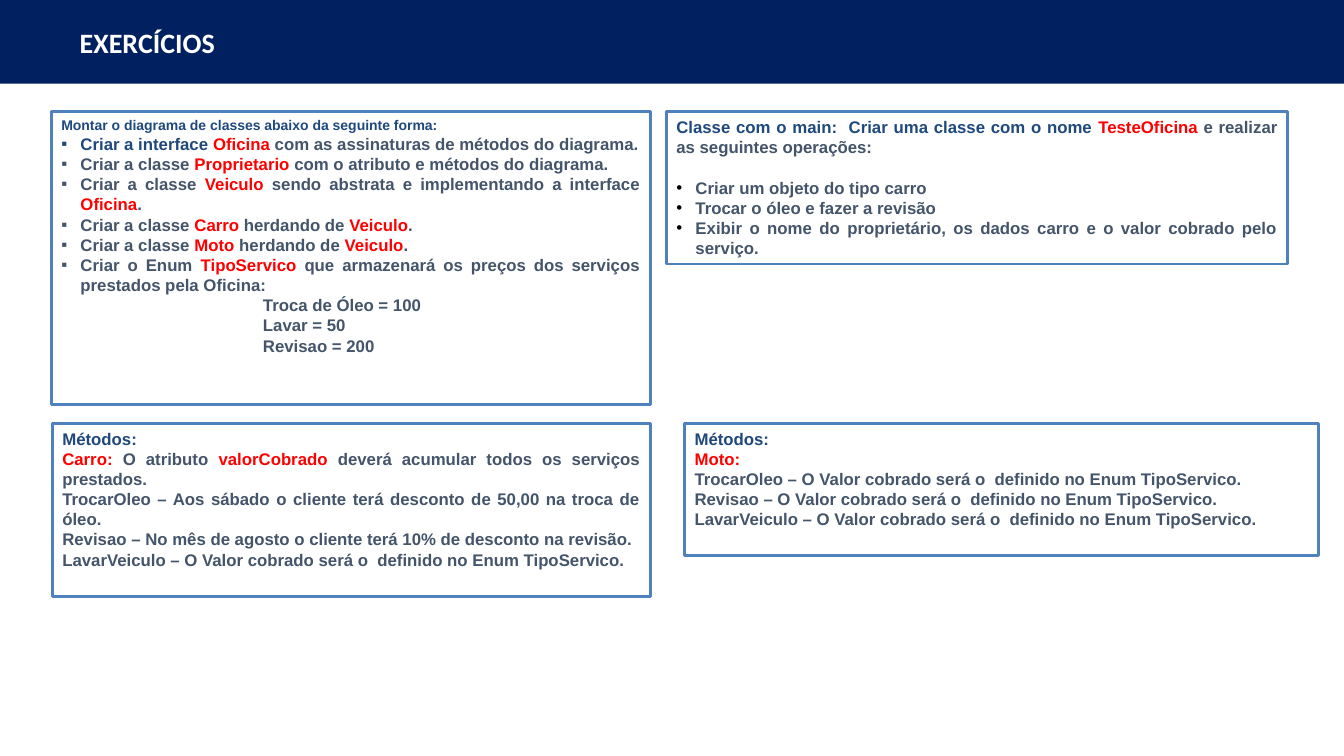
from lxml import etree
from pptx import Presentation
from pptx.dml.color import RGBColor
from pptx.enum.shapes import MSO_SHAPE as SHAPE
from pptx.enum.text import MSO_ANCHOR as ANCHOR, PP_ALIGN as ALIGN
from pptx.oxml.ns import qn
from pptx.util import Inches, Pt

NAVY, BLUE, GRAY, RED = "002060", "1F497D", "44546A", "FF0000"
EDGE, WHITE, BLACK = "4F81BD", "FFFFFF", "000000"

# Content: each line is (runs, format); a run is (text, colour)
TITLE = "EXERCÍCIOS"
METHODS = ([("Métodos:", BLUE)], {})
FIXED = "O Valor cobrado será o  definido no Enum TipoServico."


def square(*runs):
    return list(runs), {"mark": "▪", "tint": runs[0][1]}


def dot(words):
    return [(words, GRAY)], {"mark": "•", "tint": BLACK}


def plain(words, **form):
    return [(words, GRAY)], form


STEPS = [
    ([("Montar o diagrama de classes abaixo da seguinte forma:", BLUE)], {"size": 10}),
    square(("Criar a interface ", BLUE), ("Oficina ", RED),
           ("com as assinaturas de métodos do diagrama.", GRAY)),
    square(("Criar a classe ", GRAY), ("Proprietario", RED),
           (" com o atributo e métodos do diagrama.", GRAY)),
    square(("Criar a classe ", GRAY), ("Veiculo", RED),
           (" sendo abstrata e implementando a interface ", GRAY),
           ("Oficina", RED), (".", GRAY)),
    *[square(("Criar a classe ", GRAY), (name, RED), (" herdando de ", GRAY),
             ("Veiculo", RED), (".", GRAY)) for name in ("Carro", "Moto")],
    square(("Criar o Enum ", GRAY), ("TipoServico ", RED),
           ("que armazenará os preços dos serviços prestados pela Oficina:", GRAY)),
    *[plain(price, left=2) for price in
      ("Troca de Óleo = 100", "Lavar = 50", "Revisao = 200")],
]
CAR = [
    METHODS,
    ([("Carro: ", RED), ("O atributo ", GRAY), ("valorCobrado ", RED),
      ("deverá acumular todos os serviços prestados.", GRAY)], {}),
    plain("TrocarOleo – Aos sábado o cliente terá desconto de 50,00 na troca de óleo."),
    plain("Revisao – No mês de agosto o cliente terá 10% de desconto na revisão."),
    plain(f"LavarVeiculo – {FIXED}"),
]
BIKE = [
    METHODS,
    ([("Moto:", RED)], {}),
    *[plain(f"{name} – {FIXED}") for name in ("TrocarOleo", "Revisao", "LavarVeiculo")],
]
MAIN = [
    ([("Classe com o main:  Criar uma classe com o nome ", BLUE),
      ("TesteOficina", RED), (" e realizar as seguintes operações:", GRAY)],
     {"after": 14.4}),
    dot("Criar um objeto do tipo carro "),
    dot("Trocar o óleo e fazer a revisão"),
    dot("Exibir o nome do proprietário, os dados carro e o valor cobrado pelo serviço."),
]

# Places: left, top, width, height
TOP, LOW = 1.11, 4.2
PANELS = [
    (STEPS, (0.51, TOP, 5.94, 2.9)),
    (CAR, (0.52, LOW, 5.93, 1.72)),
    (BIKE, (6.79, LOW, 6.29, 1.31)),
    (MAIN, (6.61, TOP, 6.16, 1.51)),
]
HANG = 0.19


def color(code):
    return RGBColor.from_string(code)


def write(para, runs, size=12, font="Arial", align=ALIGN.JUSTIFY,
          left=0, after=0, mark=None, tint=None):
    para.alignment = align
    para.space_before, para.space_after = Pt(0), Pt(after)
    props = para._p.get_or_add_pPr()
    if mark:
        left = HANG
        props.set("indent", str(-Inches(HANG)))
        fill = etree.SubElement(props, qn("a:buClr"))
        etree.SubElement(fill, qn("a:srgbClr"), val=tint)
        etree.SubElement(props, qn("a:buFont"), typeface="Arial")
        etree.SubElement(props, qn("a:buChar"), char=mark)
    if left:
        props.set("marL", str(Inches(left)))
    for words, code in runs:
        run = para.add_run()
        run.text = words
        run.font.name, run.font.size, run.font.bold = font, Pt(size), True
        run.font.color.rgb = color(code)


def box(slide, place, fill, edge=None):
    shape = slide.shapes.add_shape(SHAPE.RECTANGLE, *map(Inches, place))
    shape.shadow.inherit = False
    shape.fill.solid()
    shape.fill.fore_color.rgb = color(fill)
    if edge:
        shape.line.color.rgb = color(edge)
        shape.line.width = Pt(2)
    else:
        shape.line.fill.background()
    return shape


def main():
    deck = Presentation()
    deck.slide_width, deck.slide_height = Inches(13.33), Inches(7.5)
    slide = deck.slides.add_slide(deck.slide_layouts[5])

    # Header band, behind the title
    band = box(slide, (0, 0, 13.33, 0.83), NAVY)
    slide.shapes._spTree.insert(2, band._element)

    # Title
    title = slide.shapes.title
    title.left, title.top = Inches(0.69), Inches(0.2)
    title.width, title.height = Inches(1.55), Inches(0.44)
    title.text_frame.word_wrap = False
    title.text_frame.vertical_anchor = ANCHOR.TOP
    write(title.text_frame.paragraphs[0], [(TITLE, WHITE)],
          size=20, font="Calibri", align=ALIGN.LEFT)

    # Text panels
    for lines, place in PANELS:
        frame = box(slide, place, WHITE, EDGE).text_frame
        frame.word_wrap = True
        frame.vertical_anchor = ANCHOR.TOP
        for i, (runs, form) in enumerate(lines):
            para = frame.add_paragraph() if i else frame.paragraphs[0]
            write(para, runs, **form)

    deck.save("out.pptx")


if __name__ == "__main__":
    main()
